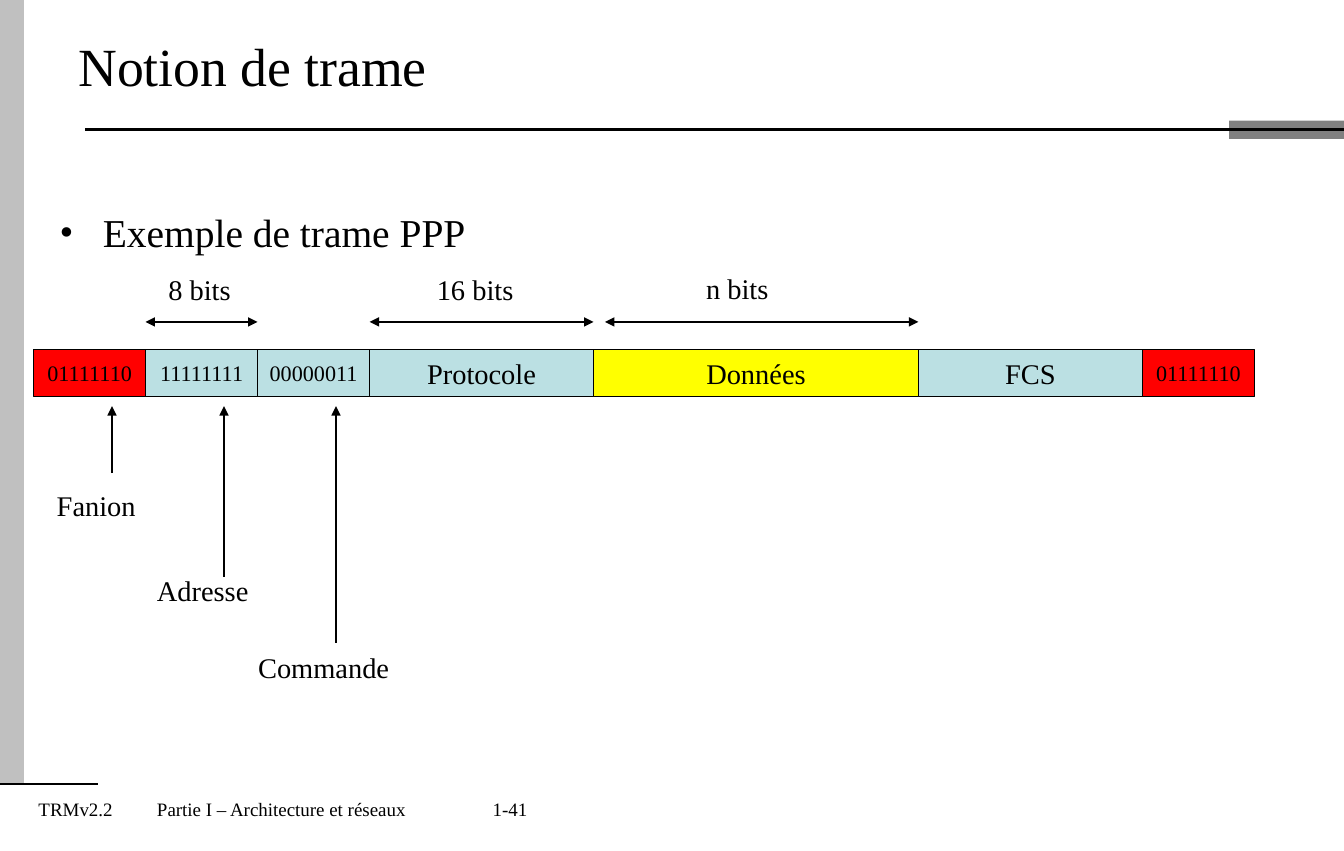
"""Build the slide that shows the fields of a PPP frame."""
from lxml.etree import SubElement
from pptx import Presentation
from pptx.dml.color import RGBColor
from pptx.enum.shapes import MSO_CONNECTOR, MSO_SHAPE
from pptx.enum.text import MSO_ANCHOR, MSO_AUTO_SIZE, PP_ALIGN
from pptx.oxml.ns import qn
from pptx.util import Inches, Pt

HEX = {"ink": "000000", "flag": "FF0000", "field": "BBE0E3",
       "data": "FFFF00", "stripe": "C0C0C0", "band": "808080"}
FONT = "Times New Roman"
WIDE, HIGH = 11.81, 7.48

TITLE = "Notion de trame"
POINT = "Exemple de trame PPP"
FOOT = "TRMv2.2\t Partie I – Architecture et réseaux\t1-41"
TABS = (1, 3.99)

# text, columns, colour, size
FIELDS = [
    ("01111110", 1, "flag", 14),
    ("11111111", 1, "field", 14),
    ("00000011", 1, "field", 14),
    ("Protocole", 2, "field", 18),
    ("Données", 2.9, "data", 18),
    ("FCS", 2, "field", 18),
    ("01111110", 1, "flag", 14),
]
# text, field, inset of arrow, label left, top, width
SPANS = [
    ("8 bits", 1, 0, 11.69, 31.28, 6.5),
    ("16 bits", 3, 0, 31.67, 31.28, 7.6),
    ("n bits", 4, 0.85, 51.7, 31.15, 6.5),
]
# text, arrow foot, label left, top, width
NAMES = [
    ("Fanion", 55.61, 3.39, 56.68, 7.9),
    ("Adresse", 67.78, 10.84, 66.71, 8.8),
    ("Commande", 75.53, 18.37, 75.75, 11.7),
]
LEFT, COL = 2.5, 100 / 12
TOP, ROW = 41.04, 5.61
SPAN_Y, TIP_Y, LABEL_H = 37.83, 47.73, 5.35

deck = Presentation()
deck.slide_width, deck.slide_height = Inches(WIDE), Inches(HIGH)
slide = deck.slides.add_slide(deck.slide_layouts[6])


def place(x, y):
    return Inches(WIDE * x / 100), Inches(HIGH * y / 100)


def tint(name):
    return RGBColor.from_string(HEX[name])


def write(shape, text, size, wrap=False):
    frame = shape.text_frame
    frame.word_wrap = wrap
    para = frame.paragraphs[0]
    para.text = text
    para.font.name, para.font.size = FONT, Pt(size)
    para.font.color.rgb = tint("ink")
    return frame


def note(text, size, x, y, w, h, wrap=False):
    shape = slide.shapes.add_textbox(*place(x, y), *place(w, h))
    return write(shape, text, size, wrap)


def label(text, x, y, w):
    note(text, 18, x, y, w, LABEL_H).auto_size = MSO_AUTO_SIZE.SHAPE_TO_FIT_TEXT


def block(color, x, y, w, h):
    shape = slide.shapes.add_shape(MSO_SHAPE.RECTANGLE, *place(x, y), *place(w, h))
    shape.shadow.inherit = False
    shape.fill.solid()
    shape.fill.fore_color.rgb = tint(color)
    shape.line.fill.background()
    return shape


def stroke(x1, y1, x2, y2, width=0.75, ends=()):
    line = slide.shapes.add_connector(
        MSO_CONNECTOR.STRAIGHT, *place(x1, y1), *place(x2, y2))
    line.line.color.rgb, line.line.width = tint("ink"), Pt(width)
    props = line._element.spPr
    for end in ends:
        SubElement(props.find(qn("a:ln")), qn("a:" + end), type="triangle")
    SubElement(props, qn("a:effectLst"))
    return line


def draw_frame():
    foot = note(FOOT, 12, 2.03, 93.05, 95.17, 4.01, True)
    props = foot.paragraphs[0]._p.get_or_add_pPr()
    stops = props.makeelement(qn("a:tabLst"))
    props.insert(0, stops)
    for stop in TABS:
        SubElement(stops, qn("a:tab"), pos=str(Inches(stop)), algn="l")
    block("stripe", 0, 0, 1.78, 92.11)
    band = block("band", 91.45, 14.17, 8.55, 2.14)
    stroke(6.35, 15.24, 100, 15.24, 1.5).end_connect(band, 3)
    stroke(0, 92.11, 7.28, 92.11, 1.5)
    note(TITLE, 34, 5, 0, 90, 15.24, True).vertical_anchor = MSO_ANCHOR.MIDDLE


def draw_point():
    frame = note(POINT, 25, 3.6, 23.8, 93.65, 18.85, True)
    props = frame.paragraphs[0]._p.get_or_add_pPr()
    props.set("marL", str(Inches(0.38)))
    props.set("indent", str(-Inches(0.38)))
    face = props.makeelement(qn("a:buFont"), {"typeface": FONT})
    mark = props.makeelement(qn("a:buChar"), {"char": "•"})
    props.insert(0, face)
    props.insert(1, mark)


def draw_fields():
    edges = [LEFT]
    for text, cols, color, size in FIELDS:
        cell = block(color, edges[-1], TOP, cols * COL, ROW)
        cell.line.color.rgb, cell.line.width = tint("ink"), Pt(0.75)
        frame = write(cell, text, size)
        frame.vertical_anchor = MSO_ANCHOR.MIDDLE
        frame.paragraphs[0].alignment = PP_ALIGN.CENTER
        edges.append(edges[-1] + cols * COL)
    return edges


def main():
    draw_frame()
    draw_point()
    edges = draw_fields()
    for text, field, inset, x, y, w in SPANS:
        stroke(edges[field] + inset, SPAN_Y, edges[field + 1], SPAN_Y,
               ends=("headEnd", "tailEnd"))
        label(text, x, y, w)
    for edge, (text, foot, x, y, w) in zip(edges, NAMES):
        mid = edge + 0.7 * COL
        stroke(mid, foot, mid, TIP_Y, ends=("tailEnd",))
        label(text, x, y, w)
    deck.save("out.pptx")


if __name__ == "__main__":
    main()
